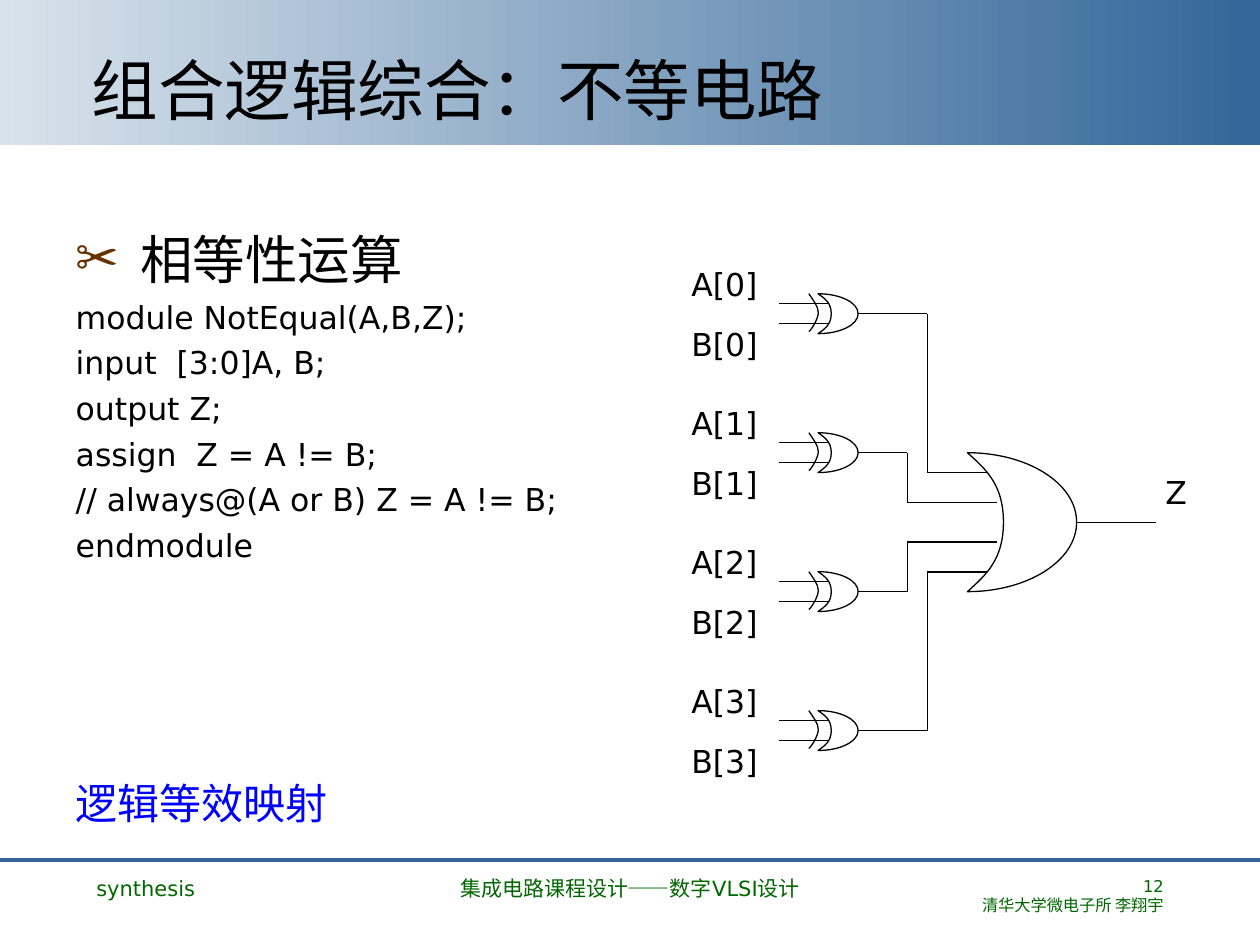
"""Build the slide on synthesis of a not-equal circuit."""
from lxml import etree
from pptx import Presentation
from pptx.dml.color import RGBColor
from pptx.enum.shapes import MSO_CONNECTOR, MSO_SHAPE
from pptx.enum.text import MSO_ANCHOR, PP_ALIGN
from pptx.oxml.ns import qn
from pptx.util import Pt

BLACK = RGBColor(0x00, 0x00, 0x00)
BLUE = RGBColor(0x00, 0x00, 0xFF)
STEEL = RGBColor(0x33, 0x66, 0x99)
PALE = RGBColor(0xD8, 0xE2, 0xEB)
GREEN = RGBColor(0x00, 0x66, 0x00)
BROWN = RGBColor(0x66, 0x33, 0x00)
STRAIGHT = MSO_CONNECTOR.STRAIGHT
RECT = MSO_SHAPE.RECTANGLE
TOP, MIDDLE, BOTTOM = MSO_ANCHOR.TOP, MSO_ANCHOR.MIDDLE, MSO_ANCHOR.BOTTOM
LEFT, CENTER, RIGHT = PP_ALIGN.LEFT, PP_ALIGN.CENTER, PP_ALIGN.RIGHT

FONT = "DejaVu Sans"
HANG = 36.9
ROW_TOP = 179.3
PITCH = 79.4
MID = ROW_TOP + 1.5 * PITCH
BUS = 518.4
OUTER = 529.9
GATE = [
    [(0, 1)],
    [(0.17, 0.88), (0.33, 0.77), (0.33, 0.5)],
    [(0.33, 0.23), (0.17, 0.12), (0, 0)],
    [(0.55, 0), (1, 0.22), (1, 0.5)],
    [(1, 0.78), (0.55, 1), (0, 1)],
]
ARC = [
    [(0, 0)],
    [(0.45, 0.17), (1, 0.33), (1, 0.5)],
    [(1, 0.67), (0.2, 0.98), (0, 1)],
]
CODE = [
    "module NotEqual(A,B,Z);",
    "input  [3:0]A, B;",
    "output Z;",
    "assign  Z = A != B;",
    "// always@(A or B) Z = A != B;",
    "endmodule",
]


def style(para, size, color=BLACK, align=LEFT):
    """Set the font and alignment of a paragraph."""
    para.alignment = align
    para.font.name = FONT
    para.font.size = Pt(size)
    para.font.color.rgb = color


def add_text(shapes, box, lines, size, color=BLACK, align=LEFT, anchor=TOP, wrap=True):
    """Add a text box with one paragraph per line."""
    frame = shapes.add_textbox(*map(Pt, box)).text_frame
    frame.word_wrap = wrap
    frame.vertical_anchor = anchor
    frame.text = "\n".join(lines)
    for para in frame.paragraphs:
        style(para, size, color, align)
    return frame


def add_wire(shapes, start, end, color=BLACK, width=0.75):
    """Add a straight line between two points."""
    wire = shapes.add_connector(STRAIGHT, *map(Pt, start + end))
    wire.line.color.rgb = color
    wire.line.width = Pt(width)
    etree.SubElement(wire._element.spPr, qn("a:effectLst"))


def add_path(shapes, points):
    """Add a chain of wires through the points."""
    for start, end in zip(points, points[1:]):
        add_wire(shapes, start, end)


def add_curve(shapes, curves, box, close):
    """Add an unfilled outline of unit cubic curves scaled to the box."""
    left, top, width, height = box
    dots = [(Pt(left + c[-1][0] * width), Pt(top + c[-1][1] * height)) for c in curves]
    pen = shapes.build_freeform(*dots[0])
    pen.add_line_segments(dots[1:], close=close)
    shape = pen.convert_to_shape()
    shape.shadow.inherit = False
    shape.fill.background()
    shape.line.color.rgb = BLACK
    shape.line.width = Pt(0.75)
    track = next(shape._element.iter(qn("a:path")))
    for step in list(track):
        track.remove(step)
    for curve in curves:
        kind = "a:moveTo" if len(curve) == 1 else "a:cubicBezTo"
        step = etree.SubElement(track, qn(kind))
        for x, y in curve:
            spot = etree.SubElement(step, qn("a:pt"))
            spot.set("x", str(Pt(x * width)))
            spot.set("y", str(Pt(y * height)))
    if close:
        etree.SubElement(track, qn("a:close"))


def add_xor(shapes, y):
    """Add a grouped XOR gate centred on height y."""
    parts = shapes.add_group_shape().shapes
    add_curve(parts, GATE, (467.5, y - 11.4, 22.9, 22.8), True)
    for pin in (y - 5.7, y + 5.7):
        add_wire(parts, (473.4, pin), (445, pin))
    add_wire(parts, (BUS, y), (490.4, y))
    add_curve(parts, ARC, (462.2, y - 11.4, 5.4, 21.6), False)


def add_circuit(shapes):
    """Add the four XOR gates, the OR gate, wires and labels."""
    for row in range(4):
        y = ROW_TOP + row * PITCH
        for name, top in (("A", y - 33.9), ("B", y + 0.1)):
            box = (377.3, top, 73.4, 33.9)
            add_text(shapes, box, [f"{name}[{row}]"], 18, BLACK, CENTER, MIDDLE, False)
        add_xor(shapes, y)
        side = -1 if row < 2 else 1
        if row in (0, 3):
            pin = MID + side * 28.4
            add_path(shapes, [(BUS, y), (OUTER, y), (OUTER, pin), (563.8, pin)])
        else:
            pin = MID + side * 11.3
            add_path(shapes, [(BUS, y), (BUS, pin), (569.5, pin)])
    add_curve(shapes, GATE, (552.8, MID - 39.7, 62.4, 79.4), True)
    add_wire(shapes, (660.4, MID), (615.2, MID))
    add_text(shapes, (655.2, 264.2, 33.9, 33.9), ["Z"], 18, BLACK, CENTER, MIDDLE, False)


def add_bullet(para, mark, color):
    """Give a paragraph a coloured bullet mark."""
    props = para._p.get_or_add_pPr()
    tint = etree.SubElement(props, qn("a:buClr"))
    etree.SubElement(tint, qn("a:srgbClr")).set("val", str(color))
    etree.SubElement(props, qn("a:buFont")).set("typeface", FONT)
    etree.SubElement(props, qn("a:buChar")).set("char", mark)


def add_body(shapes):
    """Add the heading, the code and the closing remark."""
    lines = ["相等性运算", *CODE, "逻辑等效映射"]
    frame = add_text(shapes, (36.2, 126, 347, 372), lines, 18)
    head, *code, last = frame.paragraphs
    for para in frame.paragraphs:
        props = para._p.get_or_add_pPr()
        props.set("marL", str(Pt(HANG)))
        props.set("indent", str(Pt(-HANG)))
    add_bullet(head, "✂", BROWN)
    style(head, 30)
    for para in code:
        para.space_before = Pt(4.5)
    style(last, 24, BLUE)
    last.space_before = Pt(121.9)


def add_frame(shapes):
    """Add the title band, the rule and the footer."""
    band = shapes.add_shape(RECT, 0, 0, Pt(720), Pt(82.8))
    band.shadow.inherit = False
    band.line.fill.background()
    band.fill.gradient()
    band.fill.gradient_angle = 0
    for stop, color in zip(band.fill.gradient_stops, (PALE, STEEL)):
        stop.color.rgb = color
    add_wire(shapes, (0, 491.2), (720, 491.2), STEEL, 2.25)
    title = ["组合逻辑综合：不等电路"]
    add_text(shapes, (45.2, 23.6, 630, 53.3), title, 38, anchor=BOTTOM)
    foot = [
        (48, 156.2, ["synthesis"], 12, LEFT),
        (246, 228, ["集成电路课程设计——数字VLSI设计"], 12, CENTER),
        (516, 156, ["12", "清华大学微电子所 李翔宇"], 9.3, RIGHT),
    ]
    for left, width, lines, size, align in foot:
        add_text(shapes, (left, 497, width, 32.4), lines, size, GREEN, align)


def main():
    """Build and save the slide."""
    deck = Presentation()
    deck.slide_width, deck.slide_height = Pt(720), Pt(540)
    shapes = deck.slides.add_slide(deck.slide_layouts[6]).shapes
    add_frame(shapes)
    add_circuit(shapes)
    add_body(shapes)
    deck.save("out.pptx")


if __name__ == "__main__":
    main()
